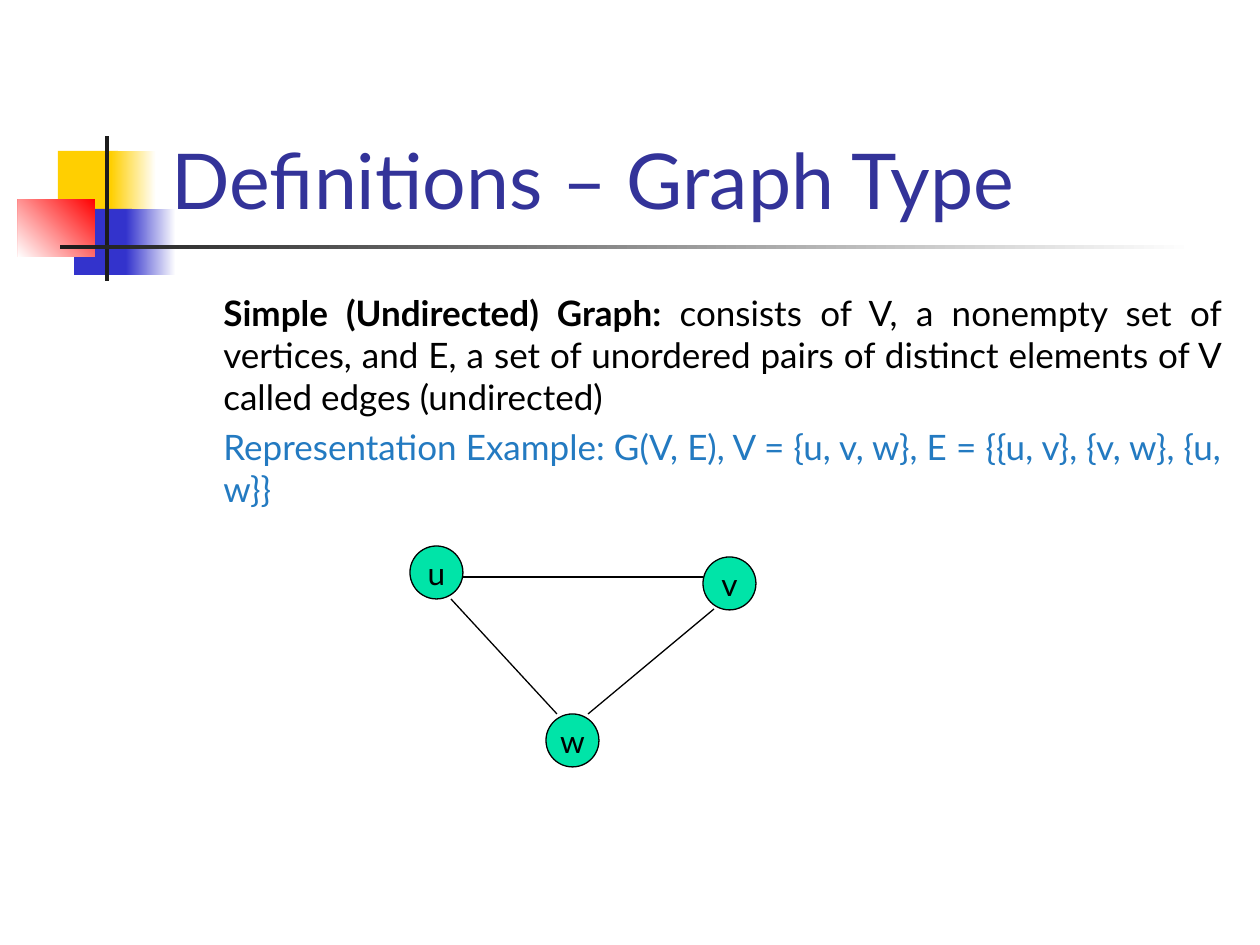
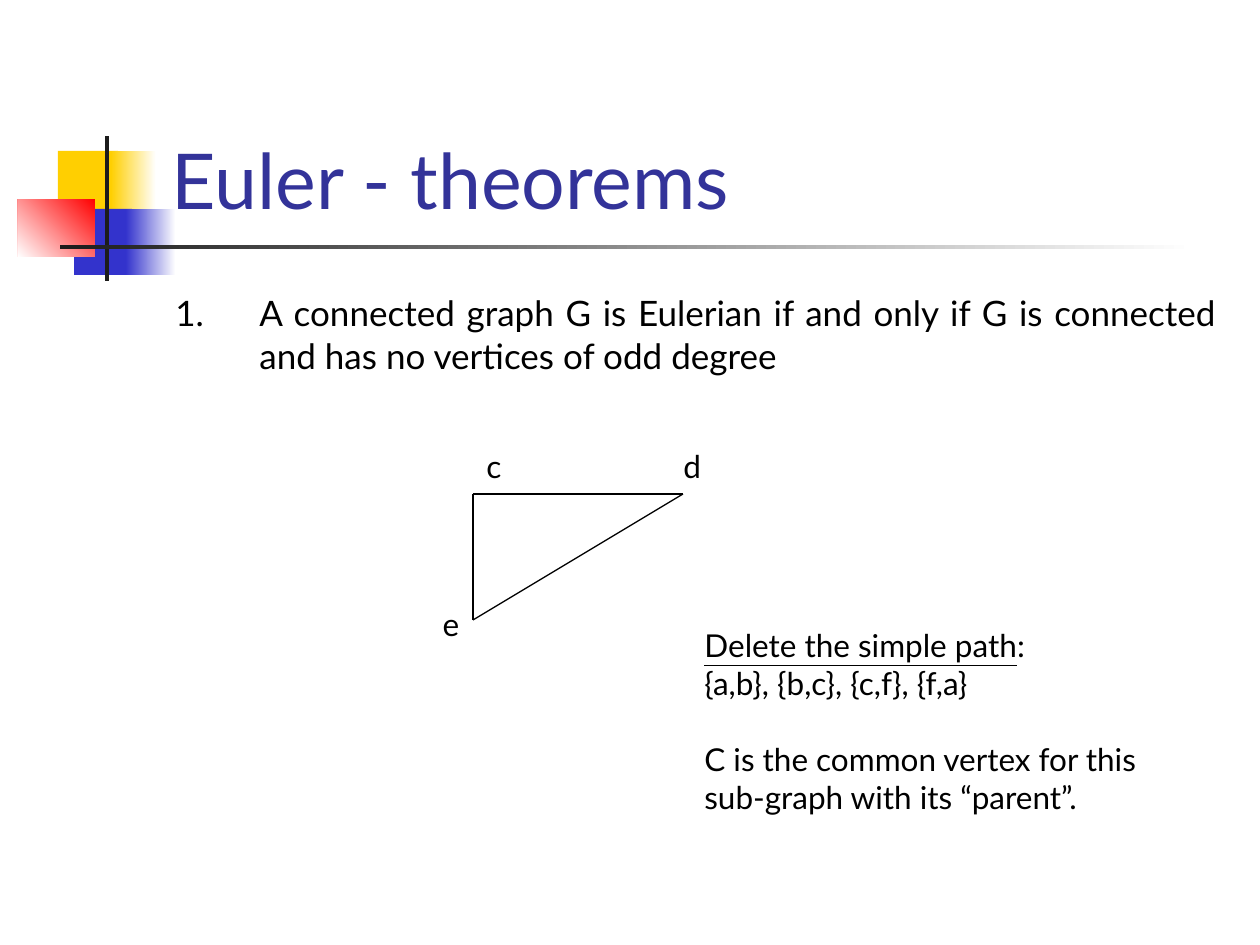
import itertools

import lxml.etree
import pptx
import pptx.dml.color
import pptx.enum.shapes
import pptx.enum.text
import pptx.oxml.ns
import pptx.util

PX_PER_INCH = 126
FONT = "Lato"
BLACK = "000000"
WHITE = "FFFFFF"
TITLE_BLUE = "333399"
EXAMPLE_BLUE = "237AC1"
NODE_GREEN = "00E4A8"
YELLOW = "FFCF01"
BLUE = "3333CC"
RED = "FF0000"
CHARCOAL = "1C1C1C"
NODE_SIZE = 53

ALIGN = pptx.enum.text.PP_ALIGN
ANCHOR = pptx.enum.text.MSO_ANCHOR
SHAPE = pptx.enum.shapes.MSO_SHAPE


def px(length):
    return pptx.util.Emu(round(length * 914400 / PX_PER_INCH))


def color(value):
    return pptx.dml.color.RGBColor.from_string(value)


def write(paragraph, text, size=18, fill=BLACK, bold=False, underline=False):
    run = paragraph.add_run()
    run.text = text
    run.font.name = FONT
    run.font.size = pptx.util.Pt(size)
    run.font.color.rgb = color(fill)
    run.font.bold = bold
    run.font.underline = underline


def format_paragraph(paragraph, align=ALIGN.LEFT, before=0, margin=0, indent=0, tab=None):
    properties = paragraph._p.get_or_add_pPr()
    properties.set("marL", str(px(margin)))
    properties.set("indent", str(px(indent)))
    if tab is not None:
        tabs = lxml.etree.SubElement(properties, pptx.oxml.ns.qn("a:tabLst"))
        lxml.etree.SubElement(tabs, pptx.oxml.ns.qn("a:tab"), pos=str(px(tab)), algn="l")
    paragraph.alignment = align
    paragraph.space_before = pptx.util.Pt(before)


def add_text_box(slide, left, top, width, height, wrap=True):
    frame = slide.shapes.add_textbox(px(left), px(top), px(width), px(height)).text_frame
    frame.word_wrap = wrap
    return frame


def add_label(slide, text, left, top):
    frame = add_text_box(slide, left, top, 42, 50, wrap=False)
    format_paragraph(frame.paragraphs[0], align=ALIGN.CENTER)
    write(frame.paragraphs[0], text)


def add_shape(slide, kind, left, top, width, height):
    shape = slide.shapes.add_shape(kind, px(left), px(top), px(width), px(height))
    shape.shadow.inherit = False
    return shape


def add_block(slide, fill, left, top, width, height, fade_angle=None):
    block = add_shape(slide, SHAPE.RECTANGLE, left, top, width, height)
    block.line.fill.background()
    if fade_angle is None:
        block.fill.solid()
        block.fill.fore_color.rgb = color(fill)
        return
    block.fill.gradient()
    block.fill.gradient_angle = fade_angle
    for stop, shade in zip(block.fill.gradient_stops, (fill, WHITE)):
        stop.color.rgb = color(shade)


def add_node(slide, text, left, top):
    node = add_shape(slide, SHAPE.OVAL, left, top, NODE_SIZE, NODE_SIZE)
    node.fill.solid()
    node.fill.fore_color.rgb = color(NODE_GREEN)
    node.line.color.rgb = color(BLACK)
    node.line.width = pptx.util.Pt(0.75)
    frame = node.text_frame
    frame.word_wrap = False
    frame.vertical_anchor = ANCHOR.MIDDLE
    format_paragraph(frame.paragraphs[0], align=ALIGN.CENTER)
    write(frame.paragraphs[0], text)


def add_edge(slide, start, end):
    edge = slide.shapes.add_connector(
        pptx.enum.shapes.MSO_CONNECTOR.STRAIGHT, *map(px, start + end)
    )
    edge.line.color.rgb = color(BLACK)
    edge.line.width = pptx.util.Pt(0.75)
    lxml.etree.SubElement(edge.element.spPr, pptx.oxml.ns.qn("a:effectLst"))


def decorate_layout(layout, slide):
    for placeholder in list(layout.placeholders)[1:]:
        layout.shapes.element.remove(placeholder.element)
    add_block(slide, YELLOW, 58, 151, 60, 66)
    add_block(slide, YELLOW, 111, 151, 45, 66, fade_angle=0)
    add_block(slide, BLUE, 74, 209, 58, 66)
    add_block(slide, BLUE, 126, 209, 50, 66, fade_angle=0)
    add_block(slide, RED, 18, 199, 77, 58, fade_angle=225)
    add_block(slide, CHARCOAL, 105, 136, 4, 145)
    add_block(slide, CHARCOAL, 60, 245, 1134, 4, fade_angle=0)
    for block in list(slide.shapes)[1:]:
        layout.shapes.element.append(block.element)


def set_title(slide, text):
    title = slide.shapes.title
    title.left, title.top, title.width, title.height = map(px, (159, 29, 1074, 202))
    frame = title.text_frame
    frame.word_wrap = True
    frame.auto_size = pptx.enum.text.MSO_AUTO_SIZE.NONE
    frame.vertical_anchor = ANCHOR.BOTTOM
    format_paragraph(frame.paragraphs[0])
    write(frame.paragraphs[0], text, size=44, fill=TITLE_BLUE)


def build_graph_type(slide):
    set_title(slide, "Definitions – Graph Type")
    frame = add_text_box(slide, 163, 285, 1071, 240)
    definition, example = frame.paragraphs[0], frame.add_paragraph()
    format_paragraph(definition, align=ALIGN.JUSTIFY, margin=48)
    write(definition, "Simple (Undirected) Graph: ", size=20, bold=True)
    write(
        definition,
        "consists of V, a nonempty set of vertices, and E, a set of unordered pairs "
        "of distinct elements of V called edges (undirected)",
        size=20,
    )
    format_paragraph(example, align=ALIGN.JUSTIFY, margin=48, before=5)
    write(
        example,
        "Representation Example: G(V, E), V = {u, v, w}, E = {{u, v}, {v, w}, {u, w}}",
        size=20,
        fill=EXAMPLE_BLUE,
    )
    for name, left, top in (("u", 410, 546), ("v", 703, 557), ("w", 546, 714)):
        add_node(slide, name, left, top)
    add_edge(slide, (462, 577), (703, 577))
    add_edge(slide, (714, 609), (588, 714))
    add_edge(slide, (451, 599), (557, 714))


def build_euler_theorems(slide):
    set_title(slide, "Euler - theorems")
    theorem = add_text_box(slide, 163, 278, 1066, 131).paragraphs[0]
    format_paragraph(theorem, align=ALIGN.JUSTIFY, margin=84, indent=-84, tab=0)
    write(theorem, "1.", size=20)
    write(theorem, "\t", size=24)
    write(
        theorem,
        "A connected graph G is Eulerian if and only if G is connected "
        "and has no vertices of odd degree",
        size=20,
    )
    corners = ((473, 494), (683, 494), (473, 620))
    for start, end in itertools.combinations(corners, 2):
        add_edge(slide, start, end)
    for name, left, top in (("c", 473, 441), ("d", 671, 441), ("e", 430, 599)):
        add_label(slide, name, left, top)

    frame = add_text_box(slide, 692, 620, 486, 202)
    heading = frame.paragraphs[0]
    format_paragraph(heading)
    write(heading, "Delete the simple path", underline=True)
    write(heading, ":")
    for text, before in (
        ("{a,b}, {b,c}, {c,f}, {f,a}", 0),
        ("C is the common vertex for this", 22),
        ("sub-graph with its “parent”.", 0),
    ):
        paragraph = frame.add_paragraph()
        format_paragraph(paragraph, before=before)
        write(paragraph, text)


def main():
    presentation = pptx.Presentation()
    presentation.slide_width = px(1260)
    presentation.slide_height = px(945)
    layout = presentation.slide_layouts[5]
    graph_type = presentation.slides.add_slide(layout)
    decorate_layout(layout, graph_type)
    build_graph_type(graph_type)
    build_euler_theorems(presentation.slides.add_slide(layout))
    presentation.save("out.pptx")


if __name__ == "__main__":
    main()
